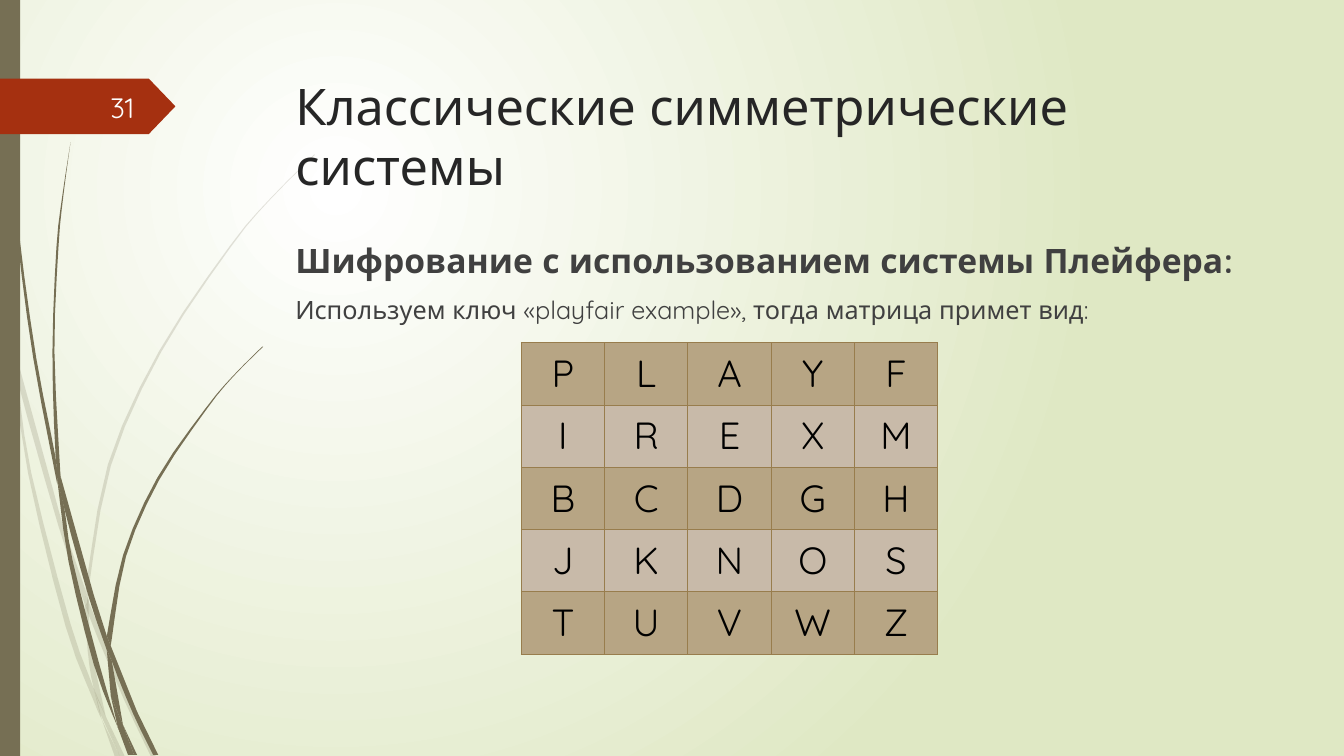
from lxml.etree import SubElement
from pptx import Presentation
from pptx.dml.color import RGBColor
from pptx.enum.shapes import MSO_SHAPE as SHAPE
from pptx.enum.text import MSO_ANCHOR as ANCHOR, PP_ALIGN as ALIGN
from pptx.oxml.ns import qn
from pptx.util import Inches, Pt

COLORS = {"white": "FFFFFF", "lime": "DFE8C4", "olive": "766F54", "red": "A53010",
          "title": "262626", "body": "404040", "number": "FEFFFF", "letter": "000000",
          "dark_row": "B7A584", "light_row": "C8BAA9", "border": "987D4D"}
FONT = "Quicksand"
MATRIX = ["PLAYF", "IREXM", "BCDGH", "JKNOS", "TUVWZ"]
PALE_BLADES = [
    ([(0, 2.99), (0.1, 3.44), (0.11, 3.5)], [(0, 2.82), (0.09, 3.22), (0.11, 3.5)]),
    ([(0.14, 3.45), (0.17, 3.76), (0.58, 5.22), (0.84, 5.99)],
     [(0.14, 3.45), (0.62, 5.2), (0.85, 5.86)]),
    ([(0.88, 5.96), (0.88, 6.1), (1.23, 6.94), (1.5, 7.51)],
     [(0.88, 5.96), (0.92, 6.07), (1.27, 6.92), (1.55, 7.51)]),
    ([(1.05, 7.11), (1.19, 7.51)], [(1.05, 7.11), (1.24, 7.51)]),
    ([(0.11, 3.5), (0.28, 4.7), (0.65, 6.21), (0.92, 6.93), (1.01, 7.14)],
     [(0.11, 3.5), (0.17, 3.76), (0.31, 4.69), (0.7, 6.19), (0.93, 6.83), (1.01, 7.14)]),
    ([(0.84, 5.99), (0.87, 6.46), (0.93, 6.83), (1.05, 7.11)],
     [(0.84, 5.99), (0.88, 6.1), (0.91, 6.46), (1.05, 7.11)]),
    ([(3.12, 1.53), (2.68, 1.97), (2.28, 2.44), (1.58, 3.48), (1.07, 4.61), (0.85, 5.84)],
     [(3.12, 1.54), (2.68, 1.98), (2.29, 2.45), (1.6, 3.49), (1.1, 4.62), (0.88, 5.84),
      (0.88, 5.96)]),
    ([(1.01, 7.14), (1.14, 7.51)], [(1.01, 7.14), (1.19, 7.51)]),
    ([(0.85, 5.86), (0.84, 5.99), (0.88, 6.1)], [(0.85, 5.86), (0.88, 5.96), (0.88, 6.1)]),
    ([(0.93, 6.83), (0.99, 7.07), (1.19, 7.51)], [(0.93, 6.83), (1.05, 7.11), (1.19, 7.51)]),
]
DARK_BLADES = [
    ([(0.03, 0), (0.07, 1.1), (0.17, 2.33), (0.33, 3.55), (0.57, 4.81)],
     [(0.04, 0), (0.08, 1.09), (0.19, 2.32), (0.36, 3.55), (0.55, 4.53), (0.57, 4.81)]),
    ([(0.6, 4.72), (0.64, 5.05), (0.88, 5.92), (1.06, 6.45)],
     [(0.6, 4.72), (0.93, 5.9), (1.06, 6.31)]),
    ([(1.1, 6.41), (1.11, 6.56), (1.32, 7.08), (1.52, 7.49)],
     [(1.1, 6.41), (1.36, 7.06), (1.57, 7.49)]),
    ([(0.57, 4.77), (0.68, 5.57), (0.93, 6.59), (1.17, 7.22)],
     [(0.57, 4.77), (0.64, 5.05), (0.72, 5.56), (0.98, 6.57), (1.17, 7.22)]),
    ([(0.7, 1.41), (0.62, 1.93), (0.56, 2.45), (0.52, 3.49), (0.55, 4.49), (0.6, 4.72)],
     [(0.7, 1.41), (0.63, 1.93), (0.58, 2.45), (0.54, 3.49), (0.6, 4.72)]),
    ([(1.22, 7.19), (1.33, 7.49)], [(1.22, 7.19), (1.36, 7.49)]),
    ([(0.55, 4.49), (0.57, 4.77), (0.64, 5.05)], [(0.55, 4.49), (0.6, 4.72), (0.64, 5.05)]),
    ([(2.6, 3.44), (2.31, 3.73), (2.04, 4.05), (1.56, 4.74), (1.22, 5.51), (1.06, 6.31)],
     [(2.61, 3.44), (2.31, 3.74), (2.05, 4.06), (1.58, 4.76), (1.25, 5.52), (1.11, 6.33),
      (1.1, 6.41)]),
    ([(1.17, 7.22), (1.27, 7.49)], [(1.17, 7.22), (1.31, 7.49)]),
    ([(1.06, 6.45), (1.1, 6.91), (1.22, 7.19)], [(1.06, 6.45), (1.11, 6.56), (1.22, 7.19)]),
    ([(1.06, 6.31), (1.06, 6.45), (1.11, 6.56)], [(1.06, 6.31), (1.1, 6.41), (1.11, 6.56)]),
    ([(1.1, 6.91), (1.17, 7.22), (1.3, 7.49)], [(1.1, 6.91), (1.22, 7.19), (1.33, 7.49)]),
]


def rgb(name):
    return RGBColor.from_string(COLORS[name])


def paint(sp, color, alpha=None):
    sp.shadow.inherit = False
    sp.line.fill.background()
    sp.fill.solid()
    sp.fill.fore_color.rgb = rgb(color)
    if alpha:
        clr = sp.element.spPr.find(qn("a:solidFill"))[0]
        SubElement(clr, qn("a:alpha"), val=str(alpha * 1000))


def add_run(p, text, size, color, bold=False):
    r = p.add_run()
    r.text = text
    r.font.name = FONT
    r.font.size = Pt(size)
    r.font.bold = bold
    r.font.color.rgb = rgb(color)


def smooth(points):
    steps = 3 if len(points) > 3 else 1
    padded = [points[0], *points, points[-1]]
    curve = []
    for a, b, c, d in zip(padded, padded[1:], padded[2:], padded[3:]):
        for t in (i / steps for i in range(steps)):
            curve.append(tuple(
                (2 * q + (u - o) * t + (2 * o - 5 * q + 4 * u - v) * t ** 2
                 + (3 * q - o - 3 * u + v) * t ** 3) / 2
                for o, q, u, v in zip(a, b, c, d)))
    return curve + [points[-1]]


def add_background(s):
    fill = s.background.fill
    fill.gradient()
    for stop, color in zip(fill.gradient_stops, ("white", "lime")):
        stop.color.rgb = rgb(color)
    grad = s.element.find(".//" + qn("a:gradFill"))
    grad.remove(grad.find(qn("a:lin")))
    circle = SubElement(grad, qn("a:path"), path="circle")
    grad.find(qn("a:gsLst")).addnext(circle)
    SubElement(circle, qn("a:fillToRect"), l="50000", t="50000", r="100000", b="100000")


def add_blades(s, x, y, blades, alpha=None):
    for left, right in blades:
        outline = [(Inches(x + px), Inches(y + py))
                   for px, py in smooth(left) + smooth(right)[::-1]]
        builder = s.shapes.build_freeform(*outline[0])
        builder.add_line_segments(outline[1:], close=True)
        paint(builder.convert_to_shape(), "olive", alpha)


def add_side_bar(s, x, y, w, h):
    bar = s.shapes.add_shape(SHAPE.RECTANGLE, Inches(x), Inches(y), Inches(w), Inches(h))
    paint(bar, "olive")


def add_number_tag(s, x, y, w, h):
    tag = s.shapes.add_shape(SHAPE.PENTAGON, Inches(x), Inches(y), Inches(w), Inches(h))
    tag.adjustments[0] = 0.48
    paint(tag, "red")
    box = s.shapes.add_textbox(Inches(x + 0.58), Inches(y + 0.08), Inches(0.85), Inches(0.4))
    tf = box.text_frame
    tf.word_wrap = True
    tf.vertical_anchor = ANCHOR.MIDDLE
    p = tf.paragraphs[0]
    p.alignment = ALIGN.RIGHT
    add_run(p, "31", 20, "number")


def add_title(s, x, y, w, h):
    title = s.shapes.title
    title.left, title.top, title.width, title.height = map(Inches, (x, y, w, h))
    title.element.getparent().append(title.element)
    tf = title.text_frame
    tf.word_wrap = True
    tf.vertical_anchor = ANCHOR.TOP
    p = tf.paragraphs[0]
    p.alignment = ALIGN.LEFT
    p.line_spacing = 1.0
    p.space_before = Pt(0)
    add_run(p, "Классические симметрические системы", 36, "title")


def add_body(s, x, y, w, h):
    tf = s.shapes.add_textbox(Inches(x), Inches(y), Inches(w), Inches(h)).text_frame
    tf.word_wrap = True
    lines = [("Шифрование с использованием системы Плейфера:", 24, True),
             ("Используем ключ «playfair example», тогда матрица примет вид:", 18, False)]
    for i, (text, size, bold) in enumerate(lines):
        p = tf.add_paragraph() if i else tf.paragraphs[0]
        p.space_before = Pt(10)
        add_run(p, text, size, "body", bold)


def add_borders(cell):
    tcPr = cell._tc.get_or_add_tcPr()
    for i, side in enumerate(("lnL", "lnR", "lnT", "lnB")):
        ln = SubElement(tcPr, qn("a:" + side), w=str(Pt(0.75)))
        fill = SubElement(ln, qn("a:solidFill"))
        SubElement(fill, qn("a:srgbClr"), val=COLORS["border"])
        tcPr.insert(i, ln)


def add_matrix(s, x, y, w, h):
    n = len(MATRIX)
    table = s.shapes.add_table(n, n, Inches(x), Inches(y), Inches(w), Inches(h)).table
    for i, letters in enumerate(MATRIX):
        for j, letter in enumerate(letters):
            cell = table.cell(i, j)
            cell.margin_left = cell.margin_right = Inches(0.15)
            cell.margin_top = cell.margin_bottom = Inches(0.07)
            cell.fill.solid()
            cell.fill.fore_color.rgb = rgb("light_row" if i % 2 else "dark_row")
            add_borders(cell)
            p = cell.text_frame.paragraphs[0]
            p.alignment = ALIGN.CENTER
            add_run(p, letter, 27, "letter")


def main():
    prs = Presentation()
    prs.slide_width, prs.slide_height = Inches(13.33), Inches(7.5)
    s = prs.slides.add_slide(prs.slide_layouts[5])
    add_background(s)
    add_blades(s, 0, 0, PALE_BLADES, 20)
    add_blades(s, 0, 0, DARK_BLADES)
    add_side_bar(s, 0, 0, 0.2, 7.5)
    add_number_tag(s, 0, 0.78, 1.74, 0.55)
    add_title(s, 2.83, 0.69, 9.75, 1.4)
    add_body(s, 2.83, 2.33, 9.75, 4.13)
    add_matrix(s, 5.17, 3.4, 4.13, 3.09)
    prs.save("out.pptx")


if __name__ == "__main__":
    main()
